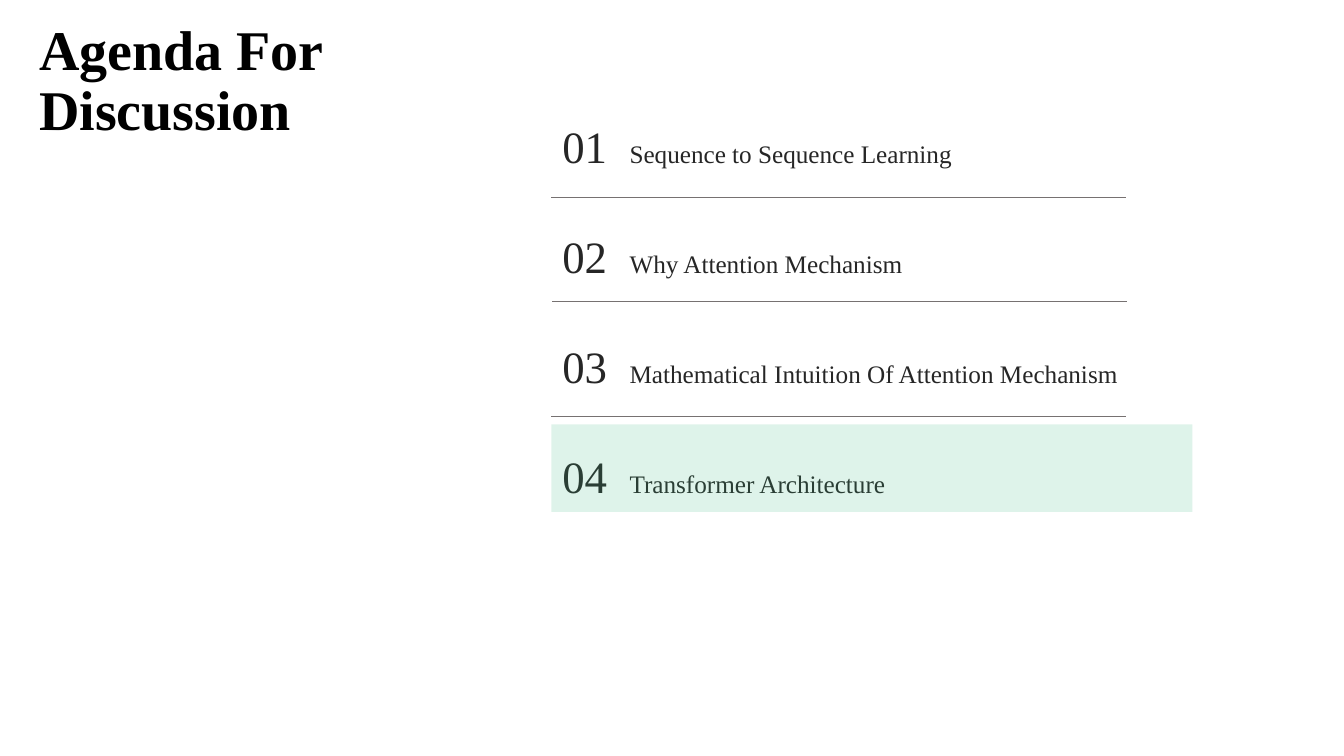
from lxml.etree import SubElement
from pptx import Presentation
from pptx.dml.color import RGBColor
from pptx.enum.shapes import MSO_CONNECTOR, MSO_SHAPE
from pptx.enum.text import MSO_ANCHOR
from pptx.oxml.ns import qn
from pptx.util import Pt

# Content
TITLE = "Agenda For Discussion"
TOPICS = [
    "Sequence to Sequence Learning",
    "Why Attention Mechanism",
    "Mathematical Intuition Of Attention Mechanism",
    "Transformer Architecture",
]
COLORS = {"title": "000000", "text": "262626", "rule": "767171", "highlight": "41B883"}
FONT = "Times New Roman"

# Layout, in points
RULES = [(393.8, 141.1), (394.6, 215.3), (393.8, 297.4)]  # left, y
RULE_WIDTH = 410.4
TOPIC_GAP = 40.1
TOPIC_TAB = 48


def add_run(p, text, size, color="text", bold=False):
    r = p.add_run()
    r.text = text
    r.font.name = FONT
    r.font.size = Pt(size)
    r.font.bold = bold
    r.font.color.rgb = RGBColor.from_string(COLORS[color])
    return r


def add_box(left, top, width, height):
    tf = s.shapes.add_textbox(Pt(left), Pt(top), Pt(width), Pt(height)).text_frame
    tf.word_wrap = True
    return tf


prs = Presentation()
prs.slide_width, prs.slide_height = Pt(960), Pt(540)
s = prs.slides.add_slide(prs.slide_layouts[6])

# Title
tf = add_box(20.9, 39.6, 393.1, 38.2)
tf.vertical_anchor = MSO_ANCHOR.MIDDLE
p = tf.paragraphs[0]
p.line_spacing = 0.9
add_run(p, TITLE, 40, color="title", bold=True)

# Numbered topics
tf = add_box(394.6, 77.8, 480.2, 356.4)
tf.margin_top = Pt(7.2)
for i, topic in enumerate(TOPICS):
    p = tf.add_paragraph() if i else tf.paragraphs[0]
    p.space_after = Pt(TOPIC_GAP)
    tabs = SubElement(p._p.get_or_add_pPr(), qn("a:tabLst"))
    SubElement(tabs, qn("a:tab"), pos=str(Pt(TOPIC_TAB)), algn="l")
    add_run(p, f"{i + 1:02d}\t", 32)
    add_run(p, topic, 18)

# Rules between topics
for left, y in RULES:
    rule = s.shapes.add_connector(
        MSO_CONNECTOR.STRAIGHT, Pt(left), Pt(y), Pt(left + RULE_WIDTH), Pt(y))
    rule.line.color.rgb = RGBColor.from_string(COLORS["rule"])
    rule.line.width = Pt(0.5)
    SubElement(rule._element.spPr, qn("a:effectLst"))

# Translucent highlight over the current topic
sp = s.shapes.add_shape(MSO_SHAPE.RECTANGLE, Pt(393.8), Pt(303.1), Pt(457.9), Pt(62.6))
sp.shadow.inherit = False
sp.line.fill.background()
sp.fill.solid()
sp.fill.fore_color.rgb = RGBColor.from_string(COLORS["highlight"])
SubElement(sp._element.spPr.find(".//" + qn("a:srgbClr")), qn("a:alpha"), val="17000")

prs.save("out.pptx")
